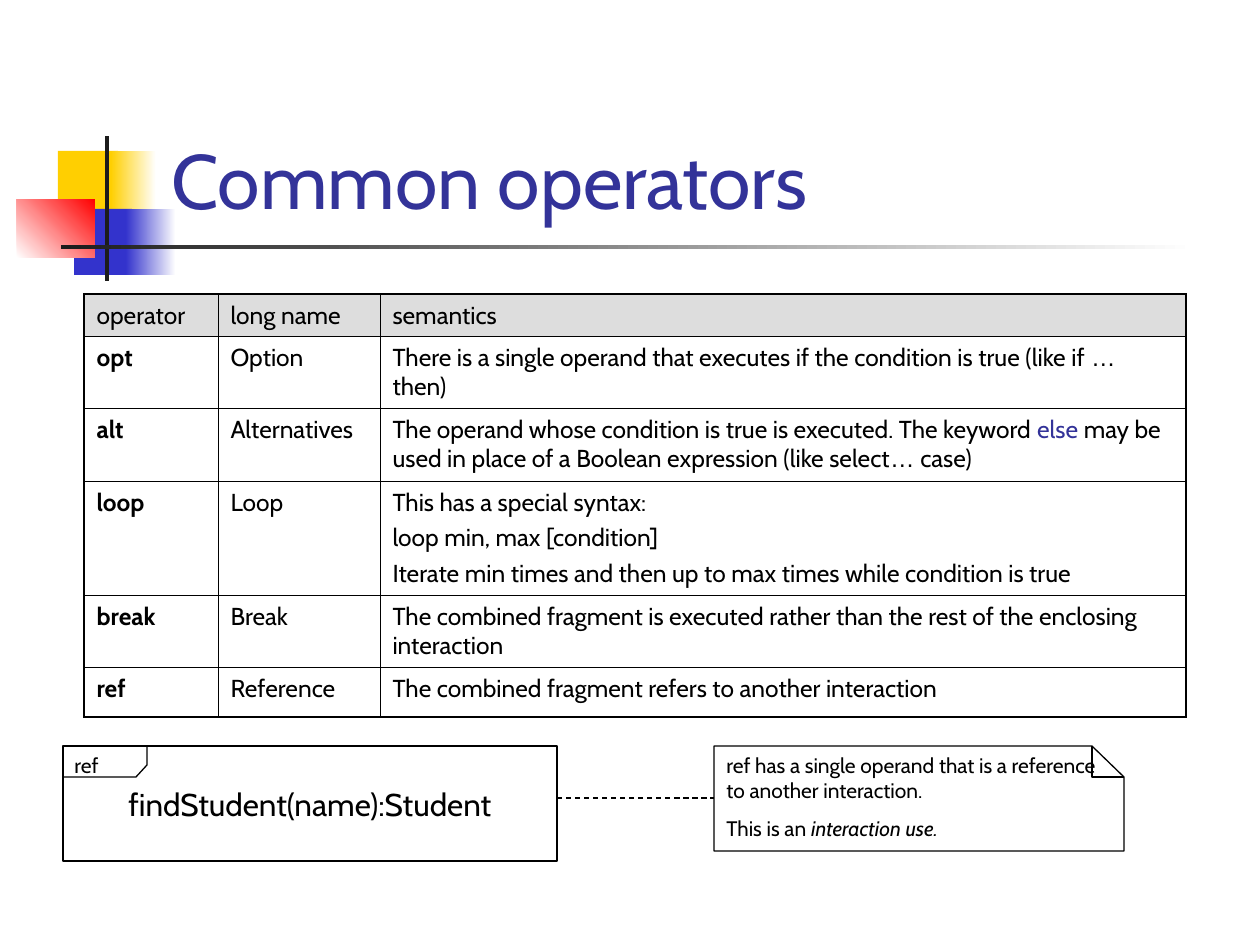
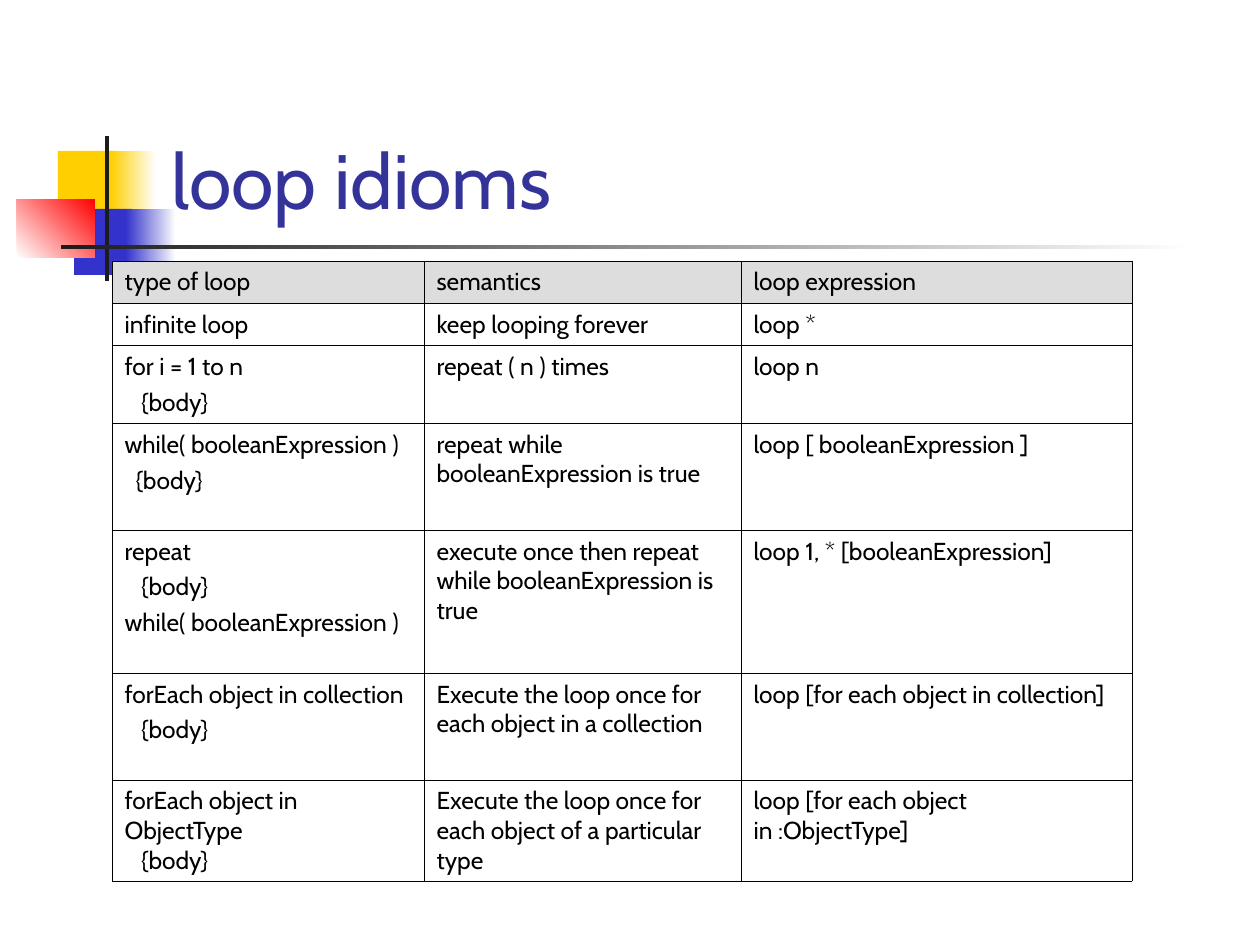
from copy import deepcopy

from lxml import etree
from pptx import Presentation
from pptx.dml.color import RGBColor
from pptx.enum.dml import MSO_LINE
from pptx.enum.shapes import MSO_CONNECTOR, MSO_SHAPE
from pptx.enum.text import MSO_ANCHOR, PP_ALIGN
from pptx.oxml.ns import qn
from pptx.util import Pt

RECT, STRAIGHT = MSO_SHAPE.RECTANGLE, MSO_CONNECTOR.STRAIGHT
TOP, MIDDLE, BOTTOM = MSO_ANCHOR.TOP, MSO_ANCHOR.MIDDLE, MSO_ANCHOR.BOTTOM
LEFT, CENTER = PP_ALIGN.LEFT, PP_ALIGN.CENTER
DASH = MSO_LINE.DASH

PX = 914400 / 126
SLIDE_W, SLIDE_H = 1260, 945

THEME = {
    "font": "Cabin", "symbol_font": "Arial",
    "text": "000000", "accent": "333399", "header": "DDDDDD",
    "yellow": "FFCF01", "blue": "3333CC", "red": "FF0000",
    "dark": "1C1C1C", "white": "FFFFFF",
    "title_size": 44, "frame_size": 18, "table_size": 14, "note_size": 12,
    "thin": 0.45, "thick": 1.08, "line": 0.75,
    "table_gap": 3.5, "note_gap": 7.5,
}

# box, colours (two make a gradient), gradient angle
DECOR = [
    ((58, 151, 60, 66), ("yellow",), 0),
    ((111, 151, 45, 66), ("yellow", "white"), 0),
    ((74, 209, 58, 66), ("blue",), 0),
    ((126, 209, 50, 66), ("blue", "white"), 0),
    ((17, 199, 78, 59), ("white", "red"), 45),
    ((105, 136, 4, 145), ("dark",), 0),
    ((61, 245, 1134, 4), ("dark", "white"), 0),
]
TITLE_BOX = (159, 29, 1074, 202)

# A paragraph is a string or a list of (text, format) runs; a cell lists paragraphs.
ELLIPSIS = ("…", {"font": THEME["symbol_font"]})
OPERATORS = {
    "title": "Common operators",
    "at": (84, 294),
    "cols": [134, 162, 806],
    "rows": [42, 72, 73, 114, 72, 50],
    "outer": THEME["thick"],
    "bold_first": True,
    "cells": [
        [["operator"], ["long name"], ["semantics"]],
        [["opt"], ["Option"],
         [[("There is a single operand that executes if the condition is true (like if ", {}),
           ELLIPSIS, (" then)", {})]]],
        [["alt"], ["Alternatives"],
         [[("The operand whose condition is true is executed. The keyword ", {}),
           ("else", {"color": THEME["accent"]}),
           (" may be used in place of a Boolean expression (like select", {}),
           ELLIPSIS, (" case)", {})]]],
        [["loop"], ["Loop"],
         ["This has a special syntax:", "loop min, max [condition]",
          "Iterate min times and then up to max times while condition is true"]],
        [["break"], ["Break"],
         ["The combined fragment is executed rather than the rest of the enclosing interaction"]],
        [["ref"], ["Reference"], ["The combined fragment refers to another interaction"]],
    ],
}
LOOPS = {
    "title": "loop idioms",
    "at": (112, 261),
    "cols": [312, 317, 391],
    "rows": [42, 42, 78, 107, 143, 107, 101],
    "outer": THEME["thin"],
    "bold_first": False,
    "cells": [
        [["type of loop"], ["semantics"], ["loop expression"]],
        [["infinite loop"], ["keep looping forever"], ["loop *"]],
        [["for i = 1 to n", "   {body}"], ["repeat ( n ) times"], ["loop n"]],
        [["while( booleanExpression )", "  {body}"],
         ["repeat while booleanExpression is true"], ["loop [ booleanExpression ]"]],
        [["repeat", "   {body}", "while( booleanExpression )"],
         ["execute once then repeat while booleanExpression is true"],
         ["loop 1, * [booleanExpression]"]],
        [["forEach object in collection", "   {body}"],
         ["Execute the loop once for each object in a collection"],
         ["loop [for each object in collection]"]],
        [["forEach object in ObjectType\n   {body}"],
         ["Execute the loop once for each object of a particular type"],
         ["loop [for each object in :ObjectType]"]],
    ],
}

REF_FRAME = (63, 746, 494, 115)
REF_CALL = "findStudent(name):Student"
REF_LABEL, REF_LABEL_BOX = "ref", (62, 746, 53, 38)
REF_TAB = [(147, 746), (147, 765), (136, 777), (63, 777)]
NOTE_LINK = [(557, 798), (714, 798)]
NOTE_OUTLINE = [(714, 746), (1092, 746), (1124, 777), (1124, 851), (714, 851)]
NOTE_FOLD = [(1092, 746), (1092, 777), (1124, 777)]
NOTE = [
    "ref has a single operand that is a reference to another interaction.",
    [("This is an ", {}), ("interaction use.", {"italic": True})],
]


def emu(*values):
    return [round(v * PX) for v in values]


def rgb(value):
    return RGBColor.from_string(value)


def set_text(tf, paras, size, color=THEME["text"], bold=False, align=LEFT, gap=0):
    """Fill a text frame; a newline inside a run becomes a line break."""
    for i, para in enumerate(paras):
        p = tf.paragraphs[0] if i == 0 else tf.add_paragraph()
        p.alignment = align
        if i and gap:
            p.space_before = Pt(gap)
        for text, fmt in [(para, {})] if isinstance(para, str) else para:
            for j, part in enumerate(text.split("\n")):
                if j:
                    p.add_line_break()
                    p._p[-1].append(deepcopy(r._r.rPr))
                r = p.add_run()
                r.text = part
                r.font.name = fmt.get("font", THEME["font"])
                r.font.size = Pt(size)
                r.font.bold = bold
                r.font.italic = fmt.get("italic", False)
                r.font.color.rgb = rgb(fmt.get("color", color))


def add_text(s, box, paras, size, anchor=TOP, wrap=True, **fmt):
    tf = s.shapes.add_textbox(*emu(*box)).text_frame
    tf.word_wrap = wrap
    tf.vertical_anchor = anchor
    set_text(tf, paras, size, **fmt)


def set_outline(sp):
    sp.shadow.inherit = False
    sp.fill.background()
    sp.line.color.rgb = rgb(THEME["text"])
    sp.line.width = Pt(THEME["line"])


def add_outline(s, points, close=False):
    builder = s.shapes.build_freeform(*points[0], scale=PX)
    builder.add_line_segments(points[1:], close=close)
    sp = builder.convert_to_shape()
    set_outline(sp)
    return sp


def add_decor(s):
    for box, names, angle in DECOR:
        sp = s.shapes.add_shape(RECT, *emu(*box))
        sp.shadow.inherit = False
        sp.line.fill.background()
        colors = [rgb(THEME[name]) for name in names]
        if len(colors) == 1:
            sp.fill.solid()
            sp.fill.fore_color.rgb = colors[0]
            continue
        sp.fill.gradient()
        sp.fill.gradient_angle = angle
        for stop, color, position in zip(sp.fill.gradient_stops, colors, (0, 1)):
            stop.color.rgb = color
            stop.position = position


def set_borders(cell, widths):
    """Draw the borders; widths are left, right, top and bottom in points."""
    tcPr = cell._tc.get_or_add_tcPr()
    for side, width in zip("LRTB", widths):
        ln = etree.SubElement(tcPr, qn(f"a:ln{side}"), w=str(Pt(width)))
        fill = etree.SubElement(ln, qn("a:solidFill"))
        etree.SubElement(fill, qn("a:srgbClr"), val=THEME["text"])


def add_table(s, data):
    cols, rows = data["cols"], data["rows"]
    box = emu(*data["at"], sum(cols), sum(rows))
    table = s.shapes.add_table(len(rows), len(cols), *box).table
    table.first_row = table.horz_banding = False
    for col, width in zip(table.columns, emu(*cols)):
        col.width = width
    for row, height in zip(table.rows, emu(*rows)):
        row.height = height
    for i, row in enumerate(data["cells"]):
        for j, paras in enumerate(row):
            cell = table.cell(i, j)
            edges = (j == 0, j == len(cols) - 1, i == 0, i == len(rows) - 1)
            set_borders(cell, [data["outer"] if e else THEME["thin"] for e in edges])
            if i == 0:
                cell.fill.solid()
                cell.fill.fore_color.rgb = rgb(THEME["header"])
            else:
                cell.fill.background()
            set_text(cell.text_frame, paras, THEME["table_size"], gap=THEME["table_gap"],
                     bold=data["bold_first"] and i > 0 and j == 0)


def add_table_slide(prs, data):
    s = prs.slides.add_slide(prs.slide_layouts[6])
    add_decor(s)
    add_text(s, TITLE_BOX, [data["title"]], THEME["title_size"],
             anchor=BOTTOM, color=THEME["accent"])
    add_table(s, data)
    return s


def add_ref_example(s):
    frame = s.shapes.add_shape(RECT, *emu(*REF_FRAME))
    set_outline(frame)
    frame.text_frame.word_wrap = False
    frame.text_frame.vertical_anchor = MIDDLE
    set_text(frame.text_frame, [REF_CALL], THEME["frame_size"], align=CENTER)
    add_outline(s, REF_TAB)
    add_text(s, REF_LABEL_BOX, [REF_LABEL], THEME["note_size"], wrap=False)

    start, end = NOTE_LINK
    link = s.shapes.add_connector(STRAIGHT, *emu(*start, *end))
    link.line.color.rgb = rgb(THEME["text"])
    link.line.width = Pt(THEME["line"])
    link.line.dash_style = DASH
    etree.SubElement(link._element.spPr, qn("a:effectLst"))

    note = add_outline(s, NOTE_OUTLINE, close=True)
    note.text_frame.word_wrap = True
    note.text_frame.vertical_anchor = TOP
    set_text(note.text_frame, NOTE, THEME["note_size"], gap=THEME["note_gap"])
    add_outline(s, NOTE_FOLD)


def main():
    prs = Presentation()
    prs.slide_width, prs.slide_height = emu(SLIDE_W, SLIDE_H)
    add_ref_example(add_table_slide(prs, OPERATORS))
    add_table_slide(prs, LOOPS)
    prs.save("out.pptx")


if __name__ == "__main__":
    main()
